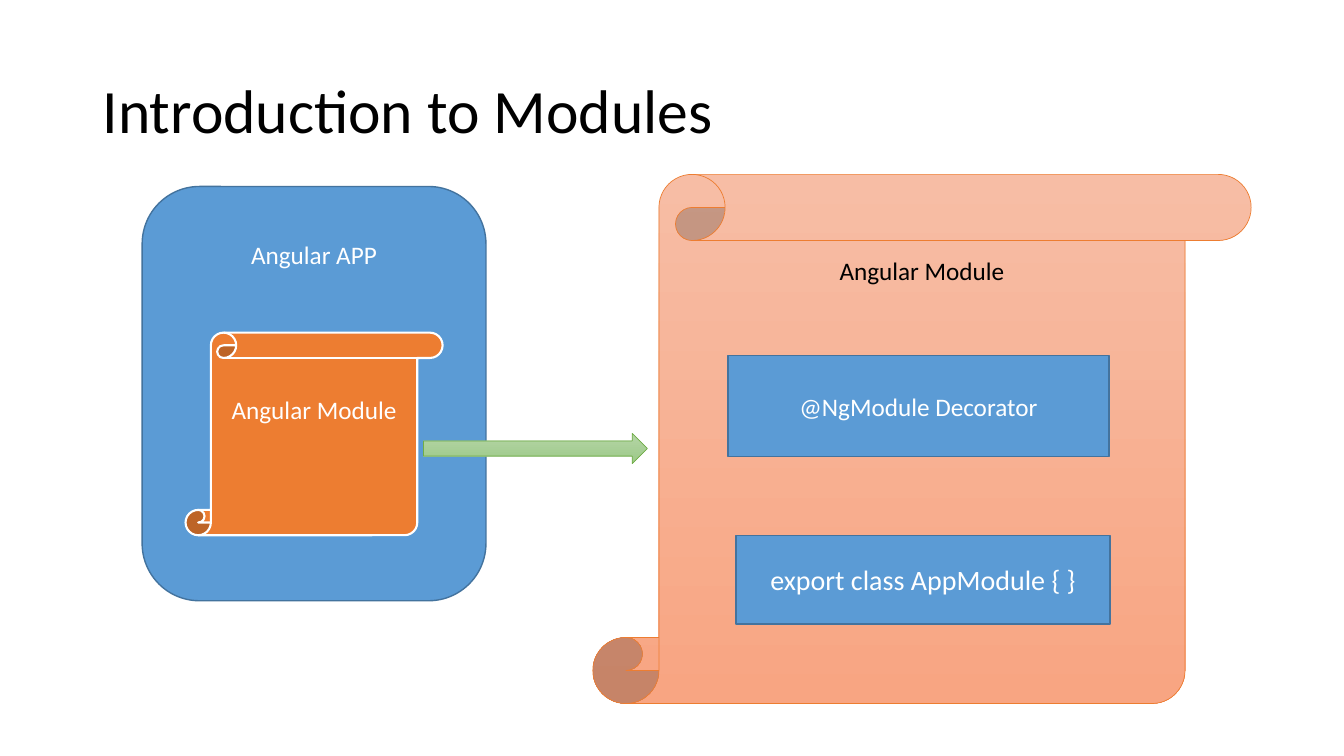
"""Build the slide that introduces Angular modules."""
from dataclasses import dataclass

from pptx import Presentation
from pptx.dml.color import RGBColor
from pptx.enum import shapes, text
from pptx.util import Inches, Pt

PRESET = shapes.MSO_SHAPE


@dataclass(frozen=True)
class Theme:
    """Hold the colours, font and type sizes of the slide."""
    font: str = "Calibri"
    title: int = 44
    code: int = 20
    label: int = 18
    ink: str = "000000"
    paper: str = "FFFFFF"
    blue: str = "5B9BD5"
    blue_edge: str = "43739E"
    orange: str = "ED7D31"
    peach: tuple = ("F7BDA5", "F8A582")
    green: tuple = ("B5D5A7", "9CC987")
    green_edge: str = "70AD47"


THEME = Theme()


def rgb(value):
    """Turn a hex string into a colour."""
    return RGBColor.from_string(value)


def write(frame, words, size, color, align=text.PP_ALIGN.CENTER, top=None):
    """Write one paragraph, centred vertically unless a top margin is given."""
    frame.word_wrap = True
    frame.vertical_anchor = text.MSO_ANCHOR.MIDDLE
    if top is not None:
        frame.vertical_anchor = text.MSO_ANCHOR.TOP
        frame.margin_top = Inches(top)
    paragraph = frame.paragraphs[0]
    paragraph.text = words
    paragraph.alignment = align
    paragraph.font.name = THEME.font
    paragraph.font.size = Pt(size)
    paragraph.font.color.rgb = rgb(color)
    return paragraph


def add_figure(slide, preset, box, fill, edge, weight):
    """Add a preset shape with a plain fill or a downward gradient."""
    figure = slide.shapes.add_shape(preset, *map(Inches, box))
    figure.shadow.inherit = False
    if isinstance(fill, tuple):
        figure.fill.gradient()
        figure.fill.gradient_angle = 270
        for stop, color in zip(figure.fill.gradient_stops, fill):
            stop.color.rgb = rgb(color)
    else:
        figure.fill.solid()
        figure.fill.fore_color.rgb = rgb(fill)
    figure.line.color.rgb = rgb(edge)
    figure.line.width = Pt(weight)
    return figure.text_frame


def add_heading(slide, box):
    """Add the slide title."""
    heading = slide.shapes.add_textbox(*map(Inches, box)).text_frame
    line = write(heading, "Introduction to Modules", THEME.title, THEME.ink,
                 text.PP_ALIGN.LEFT)
    line.line_spacing = 0.9


def add_app(slide, box):
    """Add the app panel with its module scroll."""
    left, top, _, _ = box
    app = add_figure(slide, PRESET.ROUNDED_RECTANGLE, box,
                     THEME.blue, THEME.blue_edge, 1)
    write(app, "Angular APP", THEME.label, THEME.paper, top=0.36)
    module = add_figure(slide, PRESET.VERTICAL_SCROLL,
                        (left + 0.43, top + 1.45, 2.55, 2.01),
                        THEME.orange, THEME.paper, 1.5)
    write(module, "Angular Module", THEME.label, THEME.paper, top=0.36)


def add_module_detail(slide, box):
    """Add the large module scroll with its two parts."""
    left, top, _, _ = box
    module = add_figure(slide, PRESET.VERTICAL_SCROLL, box,
                        THEME.peach, THEME.orange, 0.5)
    write(module, "Angular Module", THEME.label, THEME.ink, top=0.15)
    parts = (
        ("@NgModule Decorator", THEME.label, (1.34, 1.8, 3.78, 1)),
        ("export class AppModule { }", THEME.code, (1.42, 3.58, 3.71, 0.88)),
    )
    for words, size, (x, y, width, height) in parts:
        part = add_figure(slide, PRESET.RECTANGLE,
                          (left + x, top + y, width, height),
                          THEME.blue, THEME.blue_edge, 1)
        write(part, words, size, THEME.paper)


def build():
    """Build and save the presentation."""
    deck = Presentation()
    deck.slide_width, deck.slide_height = Inches(13.33), Inches(7.5)
    slide = deck.slides.add_slide(deck.slide_layouts[6])
    add_heading(slide, (0.92, 0.4, 11.5, 1.45))
    add_app(slide, (1.41, 1.85, 3.41, 4.11))
    add_figure(slide, PRESET.RIGHT_ARROW, (4.2, 4.3, 2.22, 0.3),
               THEME.green, THEME.green_edge, 0.5)
    add_module_detail(slide, (5.88, 1.73, 6.53, 5.25))
    deck.save("out.pptx")


build()
